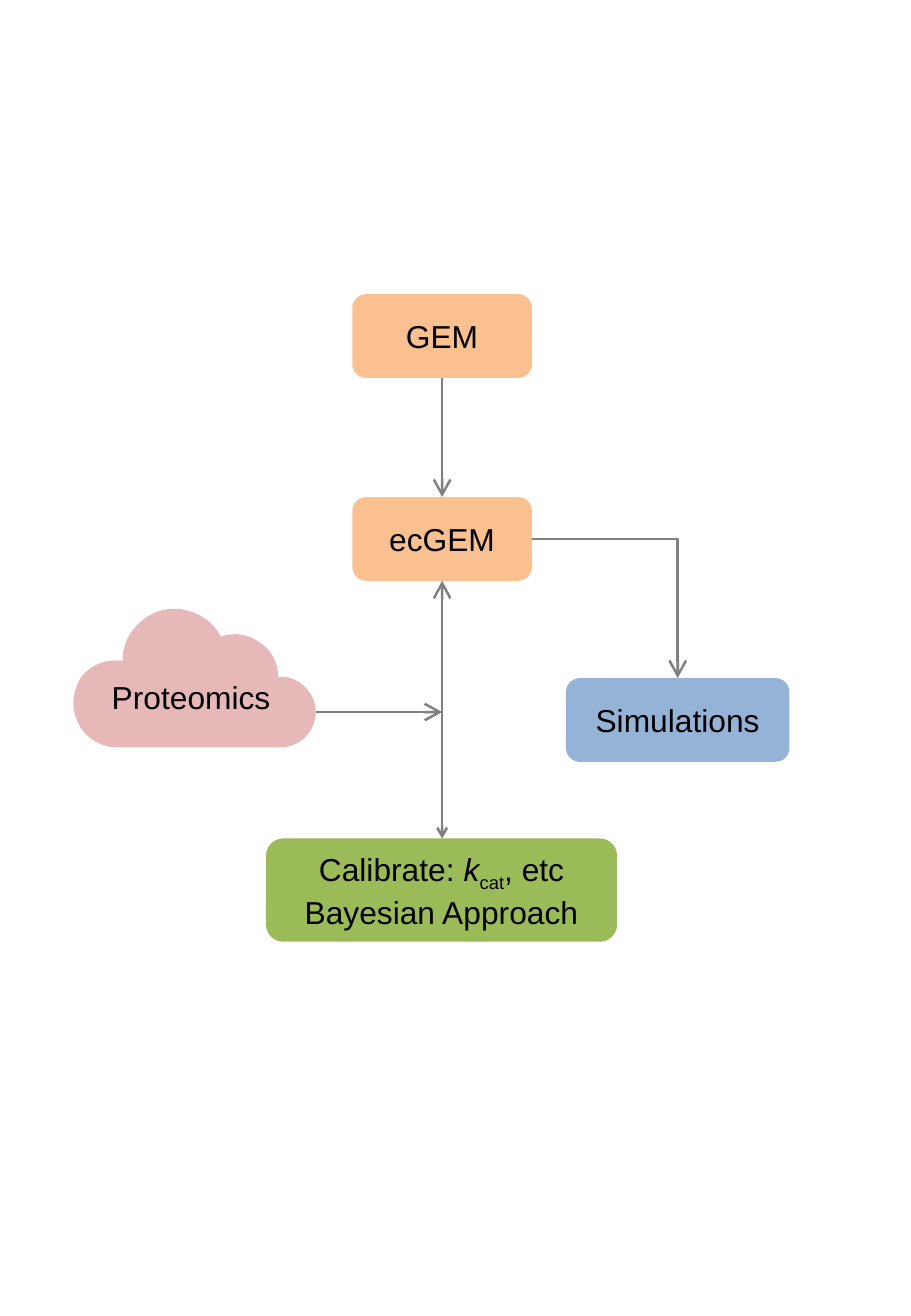
from pptx import Presentation
from pptx.dml.color import RGBColor
from pptx.enum import shapes, text
from pptx.oxml import ns, xmlchemy as xml
from pptx.util import Inches, Pt

ORANGE = RGBColor(0xFA, 0xC0, 0x90)
PINK = RGBColor(0xE6, 0xB9, 0xB8)
GREEN = RGBColor(0x9B, 0xBB, 0x59)
BLUE = RGBColor(0x95, 0xB3, 0xD7)
GRAY = RGBColor(0x80, 0x80, 0x80)
BLACK = RGBColor(0, 0, 0)

# Cloud outline in hundredths of an inch: a line has one point, a curve three
START = (172, 56)
EDGES = [
    [(169, 56)],
    [(169, 45), (164, 34), (154, 28)],
    [(145, 21), (133, 19), (122, 23)],
    [(113, 6), (93, -3), (74, 1)],
    [(55, 6), (41, 23), (41, 42)],
    [(41, 42), (41, 43), (41, 43)],
    [(28, 41), (15, 46), (7, 56)],
    [(0, 67), (-2, 81), (4, 93)],
    [(9, 105), (21, 113), (34, 114)],
    [(171, 114)],
    [(187, 114), (200, 101), (200, 85)],
    [(200, 70), (187, 56), START],
]


def paint(shape, color):
    shape.shadow.inherit = False
    shape.fill.solid()
    shape.fill.fore_color.rgb = color
    shape.line.fill.background()


def write(par, runs, align=text.PP_ALIGN.CENTER):
    """Fill a paragraph; each run is (words, style)."""
    par.alignment = align
    font = par.font
    font.name, font.size, font.color.rgb = "Arial", Pt(18.8), BLACK
    for words, style in runs:
        run = par.add_run()
        run.text = words
        if style == "italic":
            run.font.italic = True
        elif style == "sub":
            run.font._element.set("baseline", "-25000")


def add_node(slide, box, color, lines):
    node = slide.shapes.add_shape(
        shapes.MSO_SHAPE.ROUNDED_RECTANGLE, *map(Inches, box))
    paint(node, color)
    frame = node.text_frame
    frame.vertical_anchor = text.MSO_ANCHOR.MIDDLE
    for i, runs in enumerate(lines):
        par = frame.add_paragraph() if i else frame.paragraphs[0]
        write(par, runs)


def add_cloud(slide, left, top, words):
    pen = slide.shapes.build_freeform(*START, scale=Inches(0.01))
    pen.add_line_segments([edge[-1] for edge in EDGES], close=True)
    cloud = pen.convert_to_shape()
    cloud.left, cloud.top = Inches(left), Inches(top)
    cloud.width, cloud.height = Inches(2), Inches(1.14)

    # Round the outline
    track = next(cloud._element.iter(ns.qn("a:path")))
    track.set("w", "200")
    track.set("h", "114")
    for part in list(track):
        track.remove(part)
    for tag, pts in [("moveTo", [START])] + [
            ("lnTo" if len(e) == 1 else "cubicBezTo", e) for e in EDGES]:
        part = xml.OxmlElement("a:" + tag)
        for x, y in pts:
            dot = xml.OxmlElement("a:pt")
            dot.set("x", str(x))
            dot.set("y", str(y))
            part.append(dot)
        track.append(part)
    track.append(xml.OxmlElement("a:close"))

    paint(cloud, PINK)
    frame = cloud.text_frame
    frame.word_wrap = True
    frame.vertical_anchor = text.MSO_ANCHOR.MIDDLE
    frame.margin_left, frame.margin_right = Inches(0.32), 0
    frame.margin_top, frame.margin_bottom = Inches(0.36), Inches(0.05)
    write(frame.paragraphs[0], [(words, "")], text.PP_ALIGN.LEFT)


def add_arrow(slide, start, end, bent=False, both=False):
    kind = shapes.MSO_CONNECTOR.ELBOW if bent else shapes.MSO_CONNECTOR.STRAIGHT
    arrow = slide.shapes.add_connector(kind, *map(Inches, start + end))
    arrow.line.color.rgb = GRAY
    arrow.line.width = Pt(1.5)
    props = arrow._element.spPr
    if bent:
        props.find(ns.qn("a:prstGeom")).set("prst", "bentConnector2")
    line = arrow.line._get_or_add_ln()
    tips = [("a:headEnd", "med")] if both else []
    for tag, size in tips + [("a:tailEnd", "lg")]:
        tip = xml.OxmlElement(tag)
        for key, value in (("type", "arrow"), ("w", size), ("len", size)):
            tip.set(key, value)
        line.append(tip)
    props.append(xml.OxmlElement("a:effectLst"))


def add_flow(slide, left, top):
    """Draw the whole workflow from its top left corner."""
    mid, high = left + 3.04, 0.69
    model, hub, sim, cal = top, top + 1.67, top + 3.16, top + 4.48
    side, feed = left + 4.98, top + 3.44

    # Models, cloud and calibration
    for y, name in ((model, "GEM"), (hub, "ecGEM")):
        add_node(slide, (mid - 0.74, y, 1.48, high), ORANGE, [[(name, "")]])
    add_cloud(slide, left, top + 2.59, "Proteomics")
    add_node(slide, (mid - 1.45, cal, 2.89, 0.85), GREEN, [
        [("Calibrate: ", ""), ("k", "italic"), ("cat", "sub"), (", etc", "")],
        [("Bayesian Approach", "")]])

    # Arrows and simulations
    add_arrow(slide, (mid, cal), (mid, hub + high), both=True)
    add_arrow(slide, (left + 2, feed), (mid, feed))
    add_arrow(slide, (mid + 0.74, hub + high / 2), (side, sim), bent=True)
    add_node(slide, (side - 0.92, sim, 1.84, high), BLUE,
             [[("Simulations", "")]])
    add_arrow(slide, (mid, model + high), (mid, hub))


deck = Presentation()
deck.slide_width, deck.slide_height = Inches(7.5), Inches(10.83)
page = deck.slides.add_slide(deck.slide_layouts[6])
add_flow(page, 0.6, 2.42)
deck.save("out.pptx")
